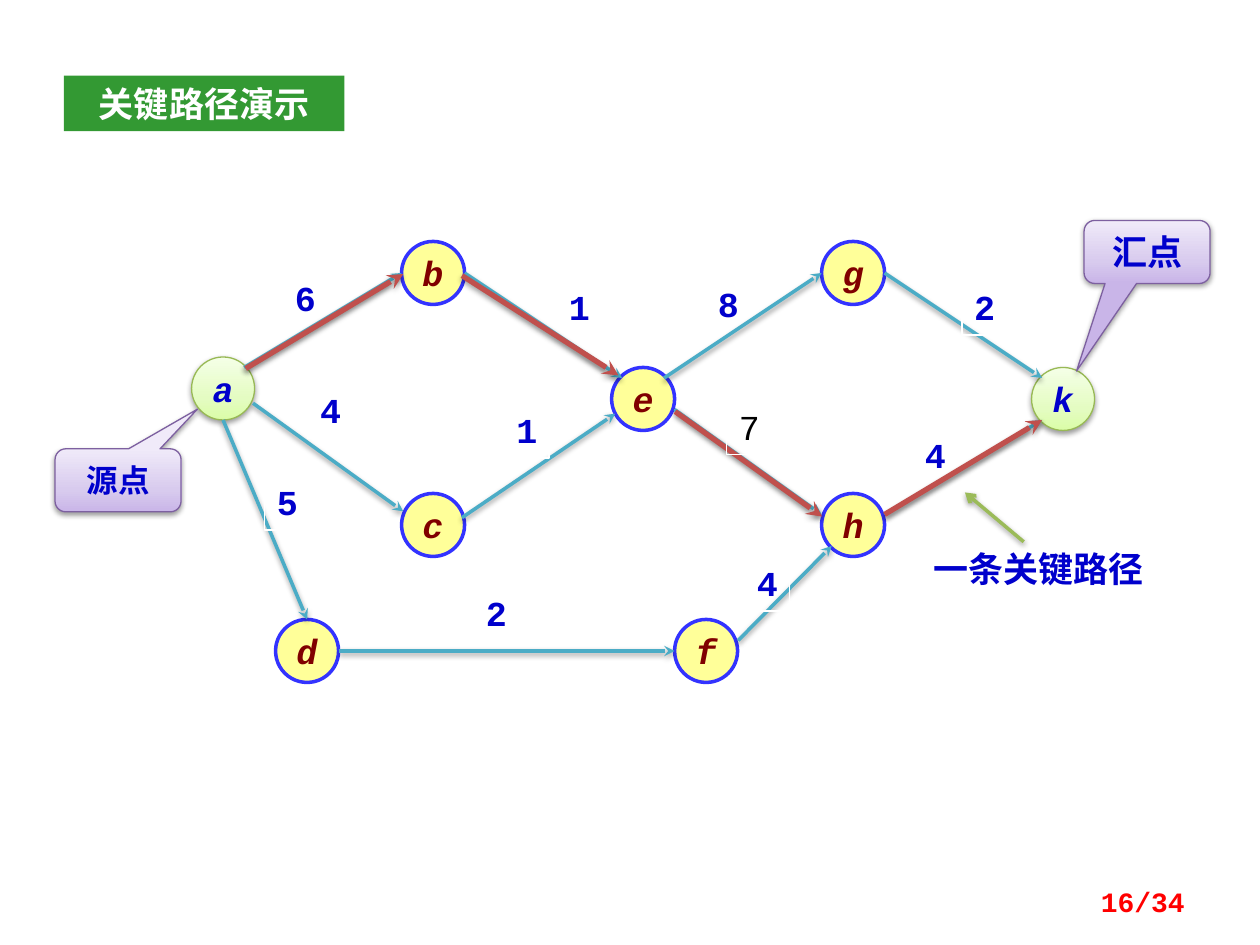
import copy

import pptx
import pptx.dml.color
import pptx.enum.shapes
import pptx.enum.text
import pptx.oxml
import pptx.oxml.ns
import pptx.util

RGB = pptx.dml.color.RGBColor
SHAPE = pptx.enum.shapes.MSO_SHAPE
STRAIGHT = pptx.enum.shapes.MSO_CONNECTOR.STRAIGHT
ALIGN = pptx.enum.text.PP_ALIGN
ANCHOR = pptx.enum.text.MSO_ANCHOR
Pt = pptx.util.Pt

WHITE = RGB(0xFF, 0xFF, 0xFF)
BLACK = RGB(0, 0, 0)
BLUE = RGB(0x00, 0x00, 0xCC)
RING_BLUE = RGB(0x33, 0x33, 0xFF)
MAROON = RGB(0x80, 0x00, 0x00)
YELLOW = RGB(0xFF, 0xFF, 0x99)
GREEN = RGB(0x33, 0x99, 0x33)
RED = RGB(0xFF, 0x00, 0x00)
TEAL = RGB(0x4B, 0xAC, 0xC6)
BRICK = RGB(0xC0, 0x50, 0x4D)
OLIVE = RGB(0x9B, 0xBB, 0x59)
LIME_EDGE = RGB(0x98, 0xB9, 0x55)
LIME = [RGB(0xDA, 0xFD, 0xA7), RGB(0xE4, 0xFC, 0xC2), RGB(0xF5, 0xFF, 0xE7)]
PURPLE_EDGE = RGB(0x7D, 0x60, 0xA0)
PURPLE = [RGB(0xC9, 0xB5, 0xE8), RGB(0xD8, 0xCB, 0xEE), RGB(0xF0, 0xEA, 0xF9)]

LATIN = "Courier New"
CHINESE = "Noto Sans CJK SC"

SHADOW = (
    '<a:effectLst %s><a:outerShdw blurRad="40000" dist="%d" dir="5400000" rotWithShape="0">'
    '<a:srgbClr val="000000"><a:alpha val="%d"/></a:srgbClr></a:outerShdw></a:effectLst>'
)
NAMESPACE = pptx.oxml.ns.nsdecls("a")

deck = pptx.Presentation()
deck.slide_width = pptx.util.Inches(10)
deck.slide_height = pptx.util.Inches(7.5)
slide = deck.slides.add_slide(deck.slide_layouts[6])
shapes = slide.shapes

# Square grid: 120 columns by 90 rows
CELL = deck.slide_width / 120


def write(box, text, size, color, font=LATIN, align=ALIGN.CENTER,
          anchor=ANCHOR.MIDDLE, wrap=False, bold=True, italic=False):
    frame = box.text_frame
    frame.word_wrap = wrap
    frame.vertical_anchor = anchor
    frame.paragraphs[0].alignment = align
    run = frame.paragraphs[0].add_run()
    run.text = text
    run.font.size = Pt(size)
    run.font.name = font
    run.font.bold = bold
    run.font.italic = italic
    run.font.color.rgb = color
    if font == CHINESE:
        east_asian = pptx.oxml.parse_xml(f'<a:ea {NAMESPACE} typeface="{font}"/>')
        run.font._element.append(east_asian)


def shade(box, colors, edge):
    box.fill.gradient()
    box.fill.gradient_angle = 90
    stop_list = box._element.spPr.find(".//" + pptx.oxml.ns.qn("a:gsLst"))
    stop_list.append(copy.deepcopy(stop_list[0]))
    for stop, position, color in zip(box.fill.gradient_stops, (0, 0.35, 1), colors):
        stop.position = position
        stop.color.rgb = color
    box.line.color.rgb = edge
    box.line.width = Pt(0.75)
    box._element.spPr.append(pptx.oxml.parse_xml(SHADOW % (NAMESPACE, 20000, 38000)))


# Event nodes, placed by centre
RADIUS = 3
for name, column, row in [
    ("a", 21.25, 37), ("b", 41.25, 26), ("c", 41.25, 50),
    ("d", 29.25, 62), ("e", 61.25, 38), ("f", 67.25, 62),
    ("g", 81.25, 26), ("h", 81.25, 50), ("k", 101.25, 38),
]:
    node = shapes.add_shape(
        SHAPE.OVAL, round((column - RADIUS) * CELL), round((row - RADIUS) * CELL),
        round(2 * RADIUS * CELL), round(2 * RADIUS * CELL))
    if name in "ak":
        shade(node, LIME, LIME_EDGE)
    else:
        node.shadow.inherit = False
        node.fill.solid()
        node.fill.fore_color.rgb = YELLOW
        node.line.color.rgb = RING_BLUE
        node.line.width = Pt(2)
    write(node, name, 20, BLUE if name in "ak" else MAROON, italic=True)

# Activities, then the critical path over them, then the pointer to it
activities = [
    (23.25, 35, 38.25, 26), (24.1, 38.4, 38.4, 48.7), (21.25, 40, 29.25, 59),
    (44.25, 26, 59.25, 36), (44, 49.3, 58.6, 39.4), (32.25, 62, 64.25, 62),
    (63.25, 36, 78.25, 26), (64.25, 39, 78.25, 49), (70.3, 61, 79.2, 52),
    (84.25, 26, 99.25, 36), (84.25, 49, 99.25, 40),
]
critical_path = [
    (23.4, 35.1, 38.4, 26.1), (44, 26.25, 58.9, 35.75),
    (64.3, 39.2, 78.3, 49.2), (84.25, 49, 99.25, 40),
]
pointer = [(97.5, 51.6, 91.9, 46.9)]
for arrows, color, width, head, distance, alpha in [
    (activities, TEAL, 2, "stealth", 20000, 38000),
    (critical_path, BRICK, 3, "stealth", 23000, 35000),
    (pointer, OLIVE, 2, "arrow", 20000, 38000),
]:
    for ends in arrows:
        arrow = shapes.add_connector(STRAIGHT, *[round(end * CELL) for end in ends])
        arrow.line.color.rgb = color
        arrow.line.width = Pt(width)
        arrow.line._get_or_add_ln().append(
            pptx.oxml.parse_xml(f'<a:tailEnd {NAMESPACE} type="{head}"/>'))
        arrow._element.spPr.append(
            pptx.oxml.parse_xml(SHADOW % (NAMESPACE, distance, alpha)))

# Activity durations; some have a white outline
for duration, column, row, outlined in [
    ("6", 26.9, 25.7, False), ("4", 29.3, 36.4, True), ("5", 25.2, 45.2, True),
    ("2", 45.1, 55.7, True), ("1", 53, 26.6, False), ("1", 48, 38.3, True),
    ("8", 67.2, 26.3, False), ("7", 69.2, 38, True), ("2", 91.6, 26.6, True),
    ("4", 86.9, 40.7, False), ("4", 70.9, 52.9, True),
]:
    weight = shapes.add_textbox(
        round(column * CELL), round(row * CELL), round(4.3 * CELL), round(5.3 * CELL))
    if outlined:
        weight.line.color.rgb = WHITE
        weight.line.width = Pt(1)
    plain = duration == "7"
    write(weight, duration, 20, BLACK if plain else BLUE, align=ALIGN.LEFT,
          anchor=ANCHOR.TOP, bold=not plain)

# Source and sink callouts
for label, column, row, size, tip in [
    ("源点", 5.25, 42.75, 18, (0.63, -1.13, 0.17)),
    ("汇点", 103.25, 21, 20, (-0.56, 1.89, 0.17)),
]:
    callout = shapes.add_shape(
        SHAPE.ROUNDED_RECTANGULAR_CALLOUT, round(column * CELL), round(row * CELL),
        round(12 * CELL), round(6 * CELL))
    for index, value in enumerate(tip):
        callout.adjustments[index] = value
    shade(callout, PURPLE, PURPLE_EDGE)
    write(callout, label, size, BLUE, CHINESE)

# Title
title = shapes.add_shape(
    SHAPE.RECTANGLE, round(6.1 * CELL), round(7.2 * CELL),
    round(26.7 * CELL), round(5.3 * CELL))
title.shadow.inherit = False
title.fill.solid()
title.fill.fore_color.rgb = GREEN
title.line.fill.background()
write(title, "关键路径演示", 20, WHITE, CHINESE, wrap=True)

# Critical path caption and page number
caption = shapes.add_textbox(
    round(84.4 * CELL), round(51.6 * CELL), round(29 * CELL), round(5.3 * CELL))
write(caption, "一条关键路径", 20, BLUE, CHINESE, anchor=ANCHOR.TOP, wrap=True)
page_number = shapes.add_textbox(
    round(86 * CELL), round(83.4 * CELL), round(28 * CELL), round(4.8 * CELL))
write(page_number, "16/34", 16, RED, align=ALIGN.RIGHT, wrap=True)

deck.save("out.pptx")
